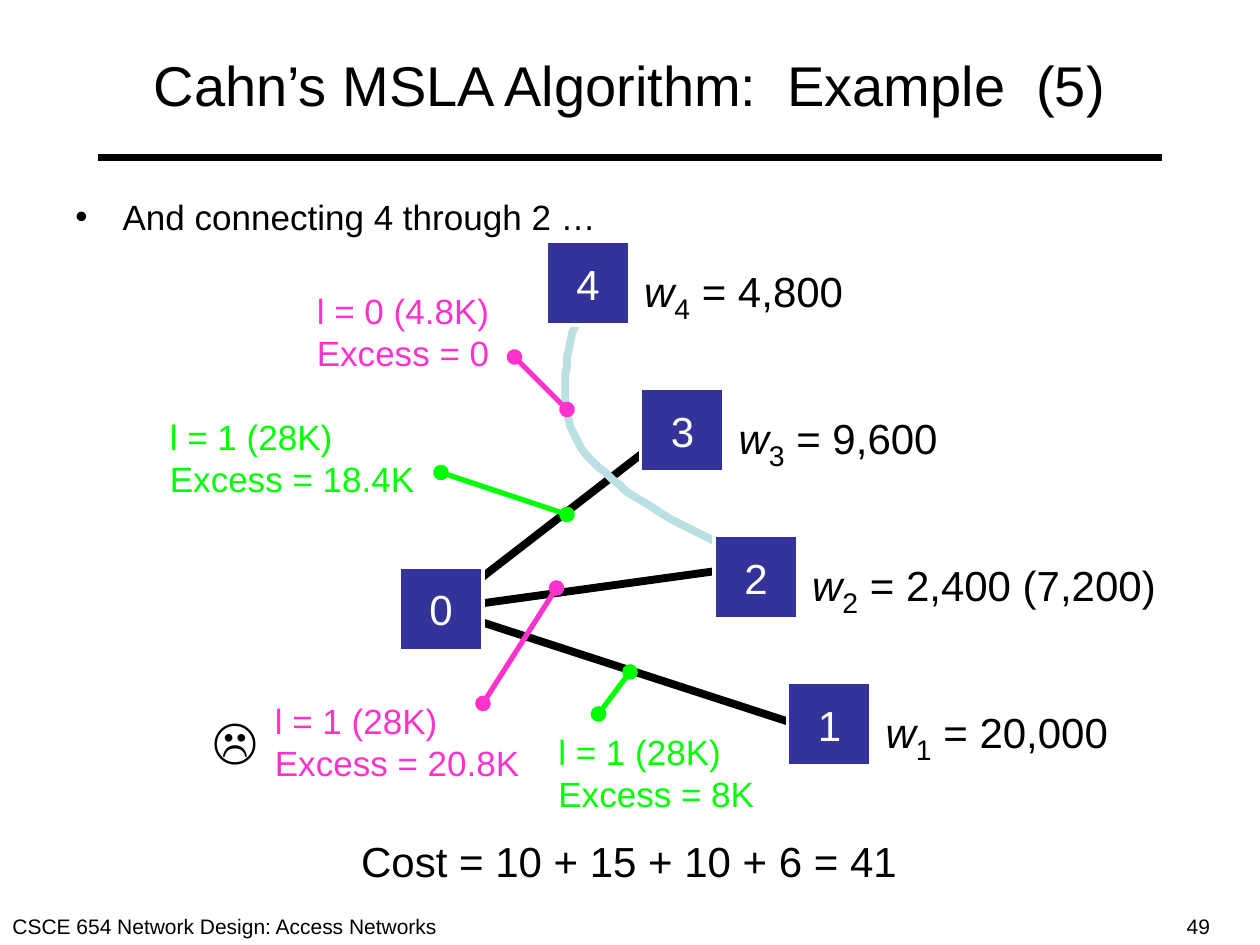
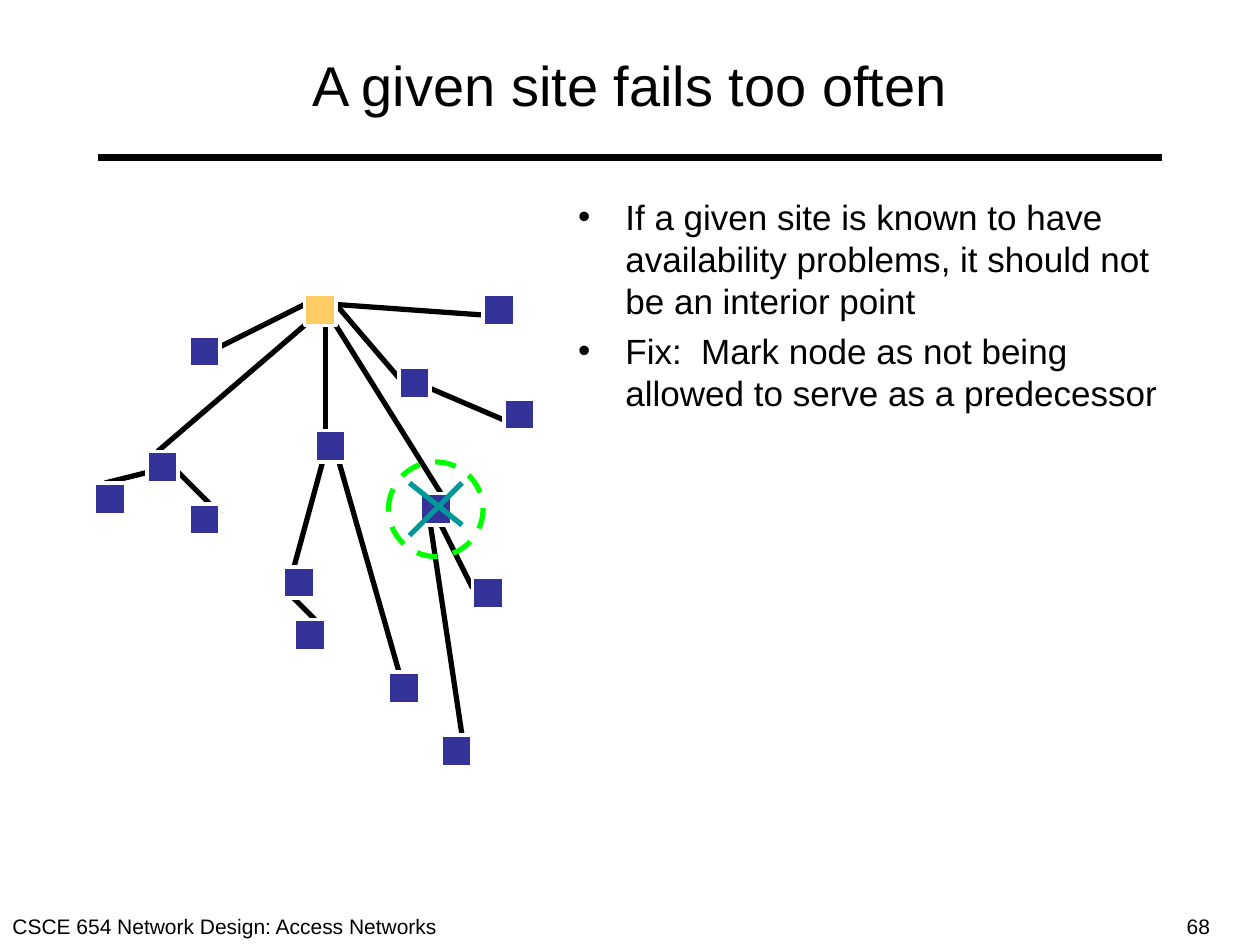
from dataclasses import dataclass
from lxml import etree
from pptx import Presentation
from pptx.dml.color import RGBColor
from pptx.enum.dml import MSO_LINE
from pptx.enum.shapes import MSO_CONNECTOR, MSO_SHAPE
from pptx.enum.text import MSO_ANCHOR, PP_ALIGN
from pptx.oxml.ns import qn
from pptx.util import Pt

STRAIGHT = MSO_CONNECTOR.STRAIGHT
RECTANGLE, OVAL = MSO_SHAPE.RECTANGLE, MSO_SHAPE.OVAL
LEFT, CENTER = PP_ALIGN.LEFT, PP_ALIGN.CENTER
TOP, MIDDLE = MSO_ANCHOR.TOP, MSO_ANCHOR.MIDDLE
DASH = MSO_LINE.DASH


@dataclass(frozen=True)
class Theme:
    font: str = "Arial"
    black: str = "000000"
    white: str = "FFFFFF"
    node: str = "333399"
    root: str = "FFCC66"
    curve: str = "BBE0E3"
    green: str = "00FF00"
    pink: str = "FF33CC"
    cross: str = "009999"
    title_size: float = 32
    symbol_size: float = 28
    label_size: float = 24
    body_size: float = 20
    footer_size: float = 12
    heavy: float = 4.5
    medium: float = 3
    outline: float = 2.25


THEME = Theme()
FOOTER = "CSCE 654 Network Design: Access Networks"

# Slide content; every place is (left, top) or (x, y) in points
EXAMPLE = {
    "title": "Cahn’s MSLA Algorithm:  Example  (5)",
    "number": "49",
    "bullets": ["And connecting 4 through 2 …"],
    "body_box": (36, 108, 648, 41),
    "edges": [
        ((384, 246), (252, 348)),
        ((426, 324), (252, 348)),
        ((252, 348), (474, 420)),
    ],
    # Start point, then two cubic pieces: control, control, end
    "curve": [(336, 162),
              (325.5, 193.5), (315.5, 226), (330, 252),
              (345, 278), (385, 298), (426, 318)],
    # Node name, place, weight
    "nodes": [
        ("0", (228, 324), None),
        ("1", (450, 390), "20,000"),
        ("2", (408, 306), "2,400 (7,200)"),
        ("3", (366, 222), "9,600"),
        ("4", (312, 138), "4,800"),
    ],
    # Text, place, colour, pointer start, pointer end
    "callouts": [
        (["l = 1 (28K)", "Excess = 18.4K"], (90, 234), THEME.green, (252, 270), (324, 294)),
        (["l = 0 (4.8K)", "Excess = 0"], (174, 162), THEME.pink, (294, 204), (324, 234)),
        (["l = 1 (28K)", "Excess = 8K"], (312, 414), THEME.green, (342, 408), (360, 384)),
        (["l = 1 (28K)", "Excess = 20.8K"], (150, 396), THEME.pink, (318, 336), (276, 402)),
    ],
    "cost": "Cost = 10 + 15 + 10 + 6 = 41",
    "verdict": "☹",
}

FAILING_SITE = {
    "title": "A given site fails too often",
    "number": "68",
    "bullets": [
        "If a given site is known to have availability problems, "
        "it should not be an interior point",
        "Fix:  Mark node as not being allowed to serve as a predecessor",
    ],
    "body_box": (323.25, 108, 361, 374),
    "edges": [
        ((174, 186), (90, 258)), ((126, 198), (174, 174)),
        ((186, 186), (186, 246)), ((288, 240), (246, 222)),
        ((192, 186), (252, 282)), ((84, 270), (60, 276)),
        ((192, 174), (228, 216)), ((168, 342), (180, 354)),
        ((246, 300), (264, 420)), ((126, 294), (102, 270)),
        ((168, 324), (186, 258)), ((228, 384), (192, 258)),
        ((270, 336), (252, 300)), ((276, 180), (192, 174)),
    ],
    "root": (174, 168),
    "sites": [
        (240, 282), (222, 384), (288, 228), (276, 168), (162, 324),
        (180, 246), (84, 258), (108, 192), (270, 330), (252, 420),
        (54, 276), (108, 288), (228, 210), (168, 354),
    ],
    "ring": (222, 264),
    "cross": [((234, 276), (264, 300)), ((264, 276), (234, 306))],
}

NODE_SIZE, SITE_SIZE, RING_SIZE = 48, 18, 54
CURVE_STEPS = 20


def color(code):
    return RGBColor.from_string(code)


def style_font(font, size, code):
    font.name, font.size = THEME.font, Pt(size)
    font.color.rgb = color(code)


def add_text(slide, lines, box, size, code=THEME.black, align=LEFT, anchor=TOP):
    shape = slide.shapes.add_textbox(*map(Pt, box))
    frame = shape.text_frame
    frame.word_wrap = True
    frame.vertical_anchor = anchor
    frame.text = "\n".join(lines)
    for paragraph in frame.paragraphs:
        paragraph.alignment = align
        for run in paragraph.runs:
            style_font(run.font, size, code)
    return frame


def add_line(slide, start, end, code=THEME.black, width=THEME.medium, dots=False):
    line = slide.shapes.add_connector(STRAIGHT, *map(Pt, start + end))
    line.line.color.rgb = color(code)
    line.line.width = Pt(width)
    properties = line._element.spPr
    if dots:
        outline = properties.find(qn("a:ln"))
        for end_tag in ("a:headEnd", "a:tailEnd"):
            etree.SubElement(outline, qn(end_tag), type="oval")
    etree.SubElement(properties, qn("a:effectLst"))


def add_square(slide, place, side, fill=THEME.node):
    shape = slide.shapes.add_shape(RECTANGLE, *map(Pt, place + (side, side)))
    shape.shadow.inherit = False
    shape.fill.solid()
    shape.fill.fore_color.rgb = color(fill)
    shape.line.color.rgb = color(THEME.white)
    shape.line.width = Pt(THEME.outline)
    return shape


def add_bullets(slide, lines, box):
    frame = add_text(slide, lines, box, THEME.body_size)
    for index, paragraph in enumerate(frame.paragraphs):
        properties = paragraph._p.get_or_add_pPr()
        properties.set("marL", str(Pt(27)))
        properties.set("indent", str(-Pt(27)))
        etree.SubElement(properties, qn("a:buFont"), typeface=THEME.font)
        etree.SubElement(properties, qn("a:buChar"), char="•")
        if index:
            paragraph.space_before = Pt(5)


def add_base_slide(presentation, content):
    """Blank slide with the shared rule, footer, title and bullets."""
    slide = presentation.slides.add_slide(presentation.slide_layouts[6])
    add_line(slide, (56, 90), (664, 90), width=THEME.heavy)
    add_text(slide, [FOOTER], (0, 518.4, 270, 21.6), THEME.footer_size)
    add_text(slide, [content["number"]], (671, 518.4, 48, 21.6), THEME.footer_size)
    add_text(slide, [content["title"]], (36, 12, 648, 72), THEME.title_size,
             align=CENTER, anchor=MIDDLE)
    add_bullets(slide, content["bullets"], content["body_box"])
    return slide


def cubic_points(start, control_a, control_b, end):
    for step in range(1, CURVE_STEPS + 1):
        t = step / CURVE_STEPS
        weights = ((1 - t) ** 3, 3 * t * (1 - t) ** 2, 3 * t * t * (1 - t), t ** 3)
        corners = (start, control_a, control_b, end)
        yield tuple(sum(w * corner[axis] for w, corner in zip(weights, corners))
                    for axis in (0, 1))


def add_curve(slide, points):
    builder = slide.shapes.build_freeform(*points[0], scale=float(Pt(1)))
    for first in range(0, len(points) - 1, 3):
        builder.add_line_segments(cubic_points(*points[first:first + 4]), close=False)
    shape = builder.convert_to_shape()
    shape.shadow.inherit = False
    shape.fill.background()
    shape.line.color.rgb = color(THEME.curve)
    shape.line.width = Pt(THEME.heavy)


def add_node(slide, name, place, weight):
    frame = add_square(slide, place, NODE_SIZE).text_frame
    frame.text = name
    frame.word_wrap = False
    frame.vertical_anchor = MIDDLE
    frame.paragraphs[0].alignment = CENTER
    style_font(frame.paragraphs[0].runs[0].font, THEME.label_size, THEME.white)
    if weight is None:
        return
    # Weight label: italic w, subscript node name, value
    left, top = place
    label = add_text(slide, ["w"], (left + 49, top + 6, 215, 45), THEME.label_size)
    paragraph = label.paragraphs[0]
    paragraph.runs[0].font.italic = True
    for text, size in ((name, THEME.symbol_size), (f" = {weight}", THEME.label_size)):
        run = paragraph.add_run()
        run.text = text
        style_font(run.font, size, THEME.black)
    paragraph.runs[1]._r.get_or_add_rPr().set("baseline", "-25000")


def build_example(presentation):
    slide = add_base_slide(presentation, EXAMPLE)
    for index, edge in enumerate(EXAMPLE["edges"]):
        add_line(slide, *edge, width=THEME.heavy)
        if index == 0:
            add_curve(slide, EXAMPLE["curve"])
    for node in EXAMPLE["nodes"]:
        add_node(slide, *node)
    for lines, place, code, start, end in EXAMPLE["callouts"]:
        add_text(slide, lines, place + (160, 55.5), THEME.body_size, code)
        add_line(slide, start, end, code, dots=True)
    add_text(slide, [EXAMPLE["cost"]], (189.5, 474, 340, 36),
             THEME.label_size, align=CENTER)
    add_text(slide, [EXAMPLE["verdict"]], (114.5, 402, 42, 41), THEME.symbol_size)


def build_failing_site(presentation):
    slide = add_base_slide(presentation, FAILING_SITE)
    for edge in FAILING_SITE["edges"]:
        add_line(slide, *edge)
    for place in FAILING_SITE["sites"]:
        add_square(slide, place, SITE_SIZE)
    add_square(slide, FAILING_SITE["root"], SITE_SIZE, THEME.root)
    # Dashed ring and cross over the failing site
    ring = slide.shapes.add_shape(
        OVAL, *map(Pt, FAILING_SITE["ring"] + (RING_SIZE, RING_SIZE)))
    ring.shadow.inherit = False
    ring.fill.background()
    ring.line.color.rgb = color(THEME.green)
    ring.line.width = Pt(THEME.medium)
    ring.line.dash_style = DASH
    for stroke in FAILING_SITE["cross"]:
        add_line(slide, *stroke, THEME.cross)


def main():
    presentation = Presentation()
    presentation.slide_width, presentation.slide_height = Pt(720), Pt(540)
    build_example(presentation)
    build_failing_site(presentation)
    presentation.save("out.pptx")


if __name__ == "__main__":
    main()
